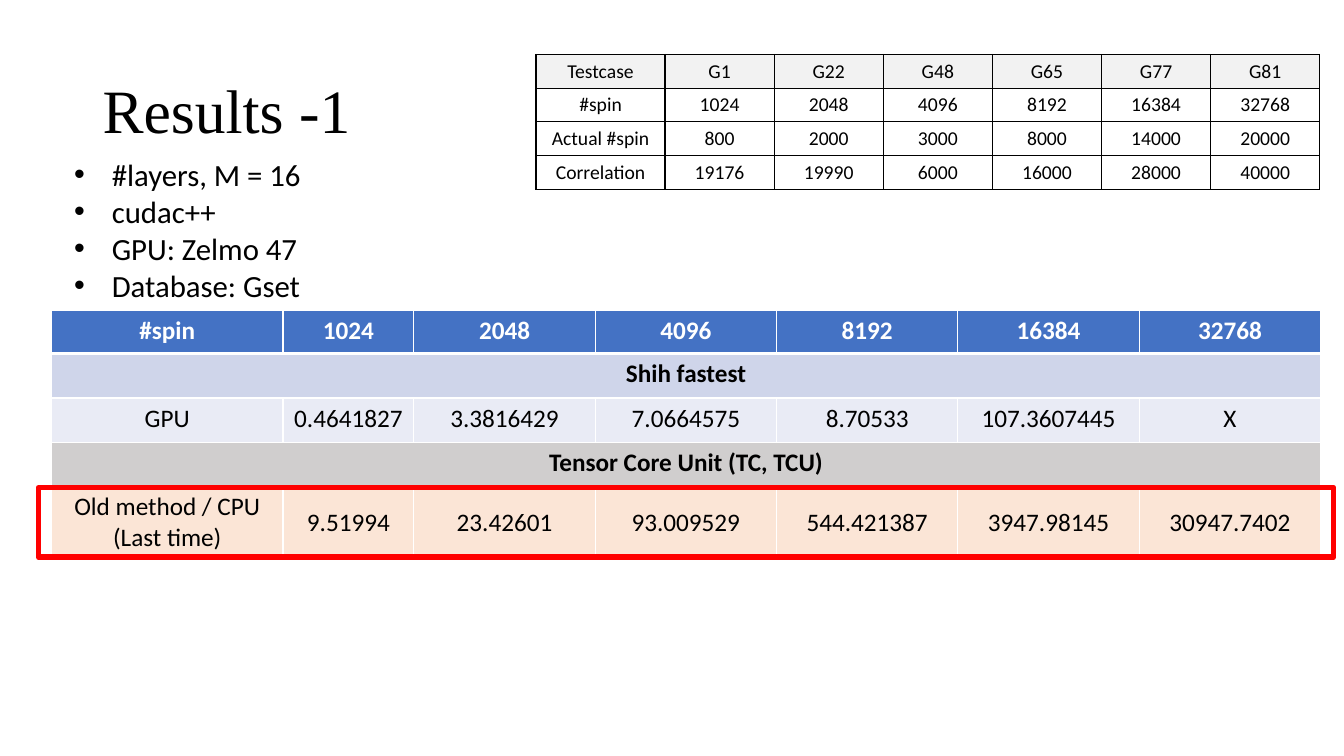
from lxml.etree import SubElement
from pptx import Presentation
from pptx.dml.color import RGBColor
from pptx.enum.shapes import MSO_SHAPE
from pptx.enum.text import MSO_ANCHOR, MSO_AUTO_SIZE, PP_ALIGN
from pptx.oxml.ns import qn
from pptx.util import Cm, Pt

BLACK = RGBColor(0x00, 0x00, 0x00)
WHITE = RGBColor(0xFF, 0xFF, 0xFF)
RED = RGBColor(0xFF, 0x00, 0x00)
BLUE = RGBColor(0x44, 0x72, 0xC4)
PALE_BLUE = RGBColor(0xCF, 0xD5, 0xEA)
ICE_BLUE = RGBColor(0xE9, 0xEB, 0xF5)
GRAY = RGBColor(0xD0, 0xCE, 0xCE)
PALE_GRAY = RGBColor(0xF2, 0xF2, 0xF2)
PEACH = RGBColor(0xFB, 0xE5, 0xD6)

TITLE_FONT = {"name": "Times New Roman", "size": Pt(44), "bold": False}
BULLET_FONT = {"name": "Calibri", "size": Pt(22)}
TESTCASE_FONT = {"name": "Calibri", "size": Pt(14), "bold": False}
RESULT_FONT = {"name": "Calibri", "size": Pt(18), "bold": False}

SETUP = ["#layers, M = 16", "cudac++", "GPU: Zelmo 47", "Database: Gset"]
SPINS = ["1024", "2048", "4096", "8192", "16384", "32768"]
TESTCASES = [
    ["Testcase", "G1", "G22", "G48", "G65", "G77", "G81"],
    ["#spin", *SPINS],
    ["Actual #spin", "800", "2000", "3000", "8000", "14000", "20000"],
    ["Correlation", "19176", "19990", "6000", "16000", "28000", "40000"],
]
# Cell texts, fill, font colour and bold of each row; a single text spans the row
RESULTS = [
    (["#spin", *SPINS], BLUE, WHITE, True),
    (["Shih fastest"], PALE_BLUE, BLACK, True),
    (["GPU", "0.4641827", "3.3816429", "7.0664575", "8.70533",
      "107.3607445", "X"], ICE_BLUE, BLACK, False),
    (["Tensor Core Unit (TC, TCU)"], GRAY, BLACK, True),
    (["Old method / CPU\n(Last time)", "9.51994", "23.42601", "93.009529",
      "544.421387", "3947.98145", "30947.7402"], PEACH, BLACK, False),
]


def format_font(paragraph, font_format, color):
    for name, value in font_format.items():
        setattr(paragraph.font, name, value)
    paragraph.font.color.rgb = color


def set_borders(cell, color, widths):
    """Draw the cell's borders; widths holds points for left, right, top, bottom."""
    properties = cell._tc.get_or_add_tcPr()
    for side, width in zip("LRTB", widths):
        line = SubElement(properties, qn(f"a:ln{side}"), w=str(Pt(width)))
        fill = SubElement(line, qn("a:solidFill"))
        SubElement(fill, qn("a:srgbClr"), val=str(color))


def fill_cell(cell, text, font_format, color):
    cell.text = text
    for paragraph in cell.text_frame.paragraphs:
        paragraph.alignment = PP_ALIGN.CENTER
        format_font(paragraph, font_format, color)


def add_sized_table(slide, left, top, column_widths, row_heights):
    table = slide.shapes.add_table(
        len(row_heights), len(column_widths), Cm(left), Cm(top),
        Cm(sum(column_widths)), Cm(sum(row_heights))).table
    for column, width in zip(table.columns, column_widths):
        column.width = Cm(width)
    for row, height in zip(table.rows, row_heights):
        row.height = Cm(height)
    return table


def place_title(slide, left, top, width, height):
    title = slide.shapes.title
    title.left, title.top = Cm(left), Cm(top)
    title.width, title.height = Cm(width), Cm(height)
    title.text_frame.text = "Results -1"
    title.text_frame.vertical_anchor = MSO_ANCHOR.MIDDLE
    paragraph = title.text_frame.paragraphs[0]
    paragraph.alignment = PP_ALIGN.LEFT
    paragraph.line_spacing = 0.9
    format_font(paragraph, TITLE_FONT, BLACK)


def add_setup_list(slide, left, top, width, height):
    box = slide.shapes.add_textbox(Cm(left), Cm(top), Cm(width), Cm(height))
    frame = box.text_frame
    frame.word_wrap = False
    frame.auto_size = MSO_AUTO_SIZE.SHAPE_TO_FIT_TEXT
    frame.text = "\n".join(SETUP)
    for paragraph in frame.paragraphs:
        properties = paragraph._p.get_or_add_pPr()
        properties.set("marL", str(Cm(0.95)))
        properties.set("indent", str(-Cm(0.95)))
        SubElement(properties, qn("a:buFont"), typeface="Arial")
        SubElement(properties, qn("a:buChar"), char="•")
        format_font(paragraph, BULLET_FONT, BLACK)


def add_testcase_table(slide, left, top):
    table = add_sized_table(slide, left, top, [3.25] + [2.75] * 6, [0.85] * 4)
    for row_index, texts in enumerate(TESTCASES):
        for cell, text in zip(table.rows[row_index].cells, texts):
            fill_cell(cell, text, TESTCASE_FONT, BLACK)
            cell.vertical_anchor = MSO_ANCHOR.MIDDLE
            set_borders(cell, BLACK, [1, 1, 1, 1])
            if row_index == 0:
                cell.fill.solid()
                cell.fill.fore_color.rgb = PALE_GRAY
            else:
                cell.fill.background()


def add_result_table(slide, left, top):
    """Add the timing table with a red frame around its last row."""
    column_widths = [5.83, 3.3] + [4.57] * 5
    row_heights = [1.09, 1.12, 1.12, 1.12, 1.78]
    table = add_sized_table(slide, left, top, column_widths, row_heights)
    last_row = len(RESULTS) - 1
    for row_index, (texts, fill, color, bold) in enumerate(RESULTS):
        cells = list(table.rows[row_index].cells)
        bottom = 3 if row_index == 0 else 1
        top_width = 3 if row_index == 1 else 1
        for cell in cells:
            set_borders(cell, WHITE, [1, 1, top_width, bottom])
            cell.fill.solid()
            cell.fill.fore_color.rgb = fill
        if len(texts) == 1:
            cells[0].merge(cells[-1])
        for cell, text in zip(cells, texts):
            fill_cell(cell, text, {**RESULT_FONT, "bold": bold}, color)
        if row_index == last_row:
            for cell in cells[1:]:
                cell.vertical_anchor = MSO_ANCHOR.MIDDLE
                cell.margin_left = cell.margin_right = cell.margin_top = Cm(0.03)
                cell.margin_bottom = Cm(0)

    overhang = 0.33
    frame = slide.shapes.add_shape(
        MSO_SHAPE.RECTANGLE, Cm(left - overhang),
        Cm(top + sum(row_heights[:-1]) + 0.02),
        Cm(sum(column_widths) + 2 * overhang), Cm(1.75))
    frame.shadow.inherit = False
    frame.fill.background()
    frame.line.color.rgb = RED
    frame.line.width = Pt(4)


def main():
    presentation = Presentation()
    presentation.slide_width, presentation.slide_height = Cm(33.87), Cm(19.05)
    slide = presentation.slides.add_slide(presentation.slide_layouts[5])
    place_title(slide, 2.33, 1.01, 29.21, 3.68)
    add_setup_list(slide, 1.62, 3.8, 6.3, 4.02)
    add_testcase_table(slide, 13.51, 1.37)
    add_result_table(slide, 1.3, 7.82)
    presentation.save("out.pptx")


if __name__ == "__main__":
    main()
